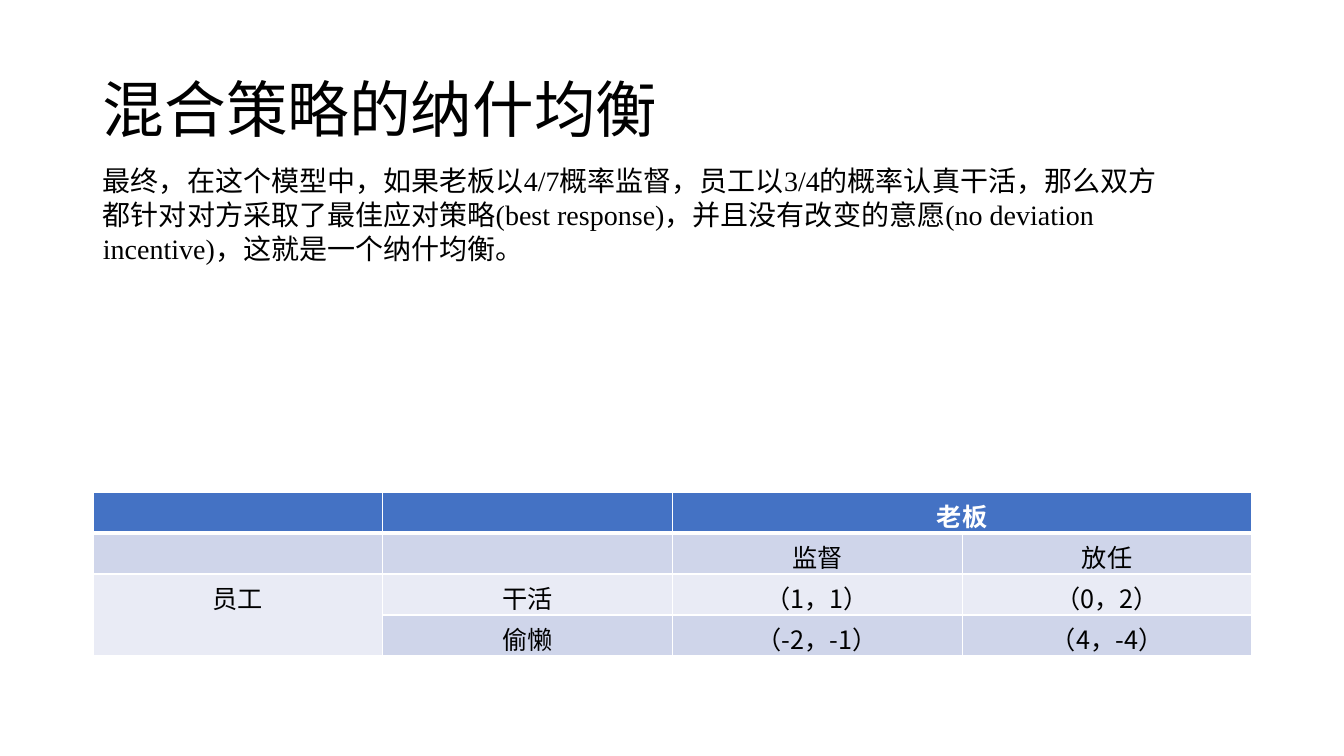
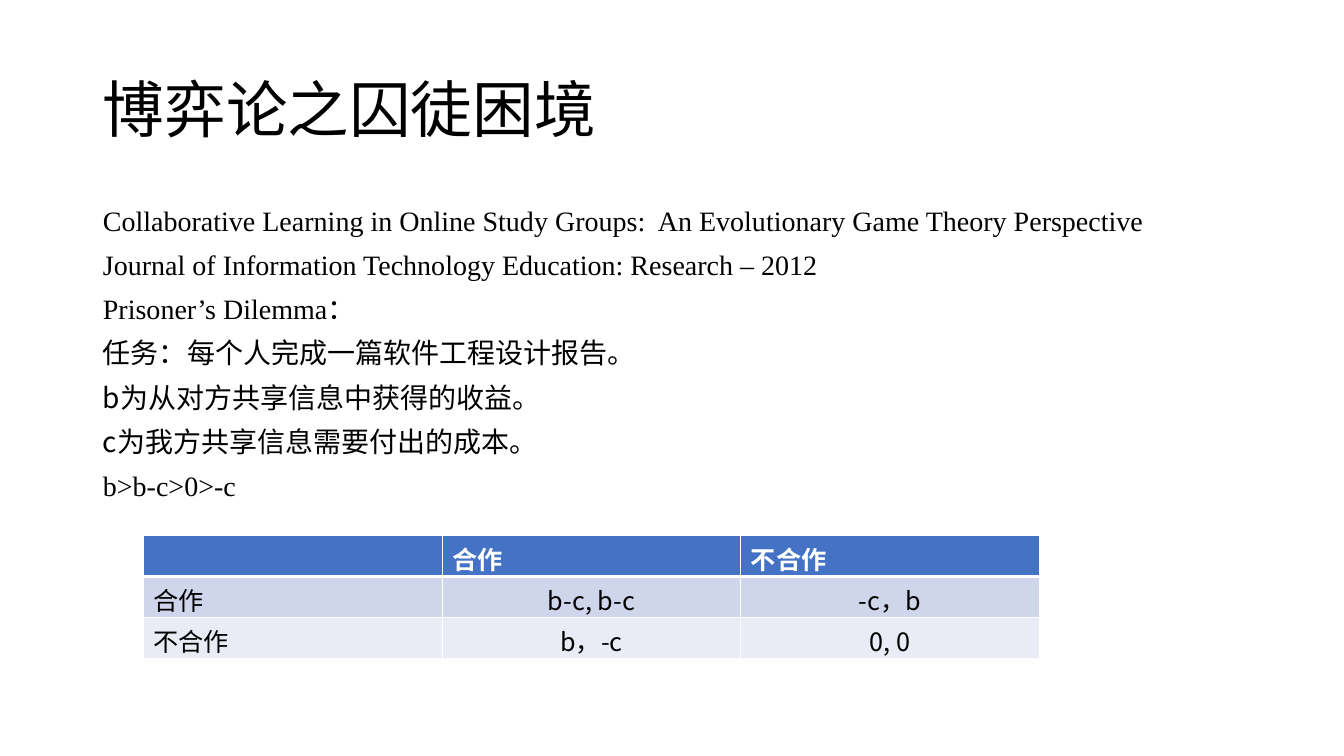
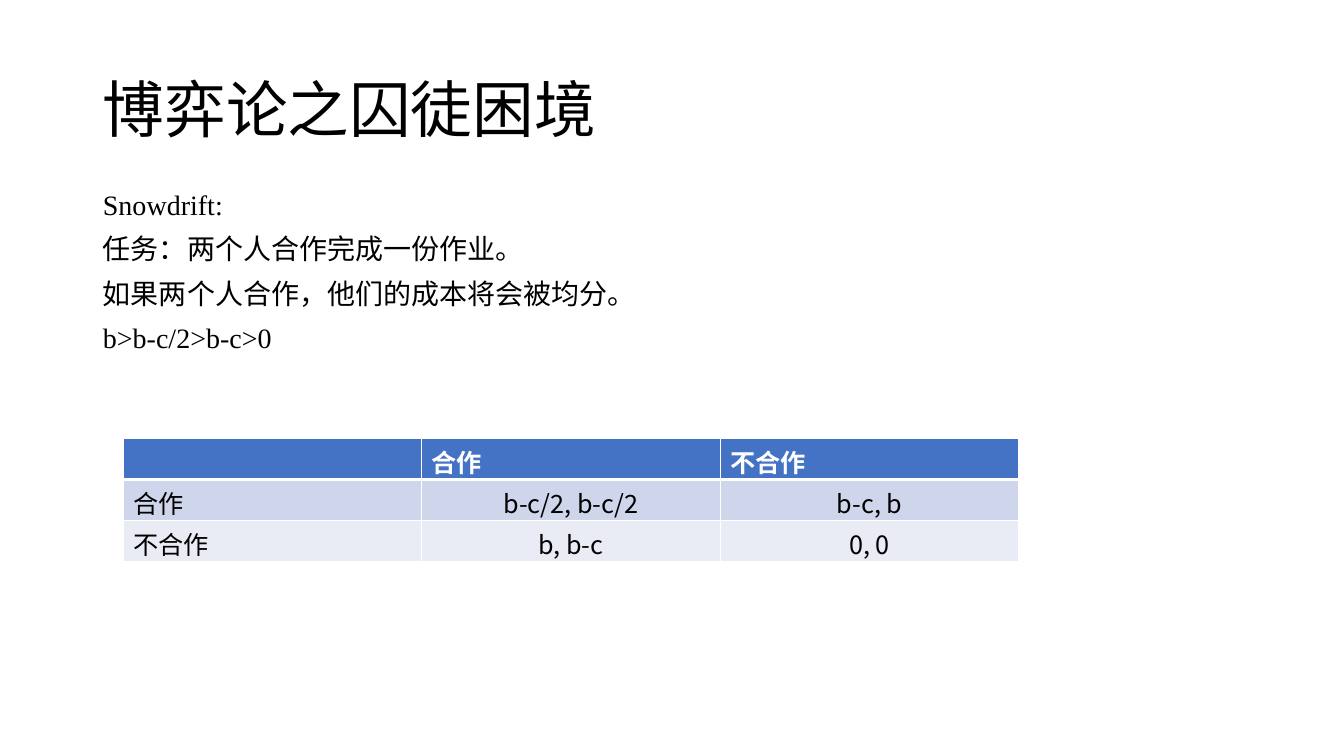
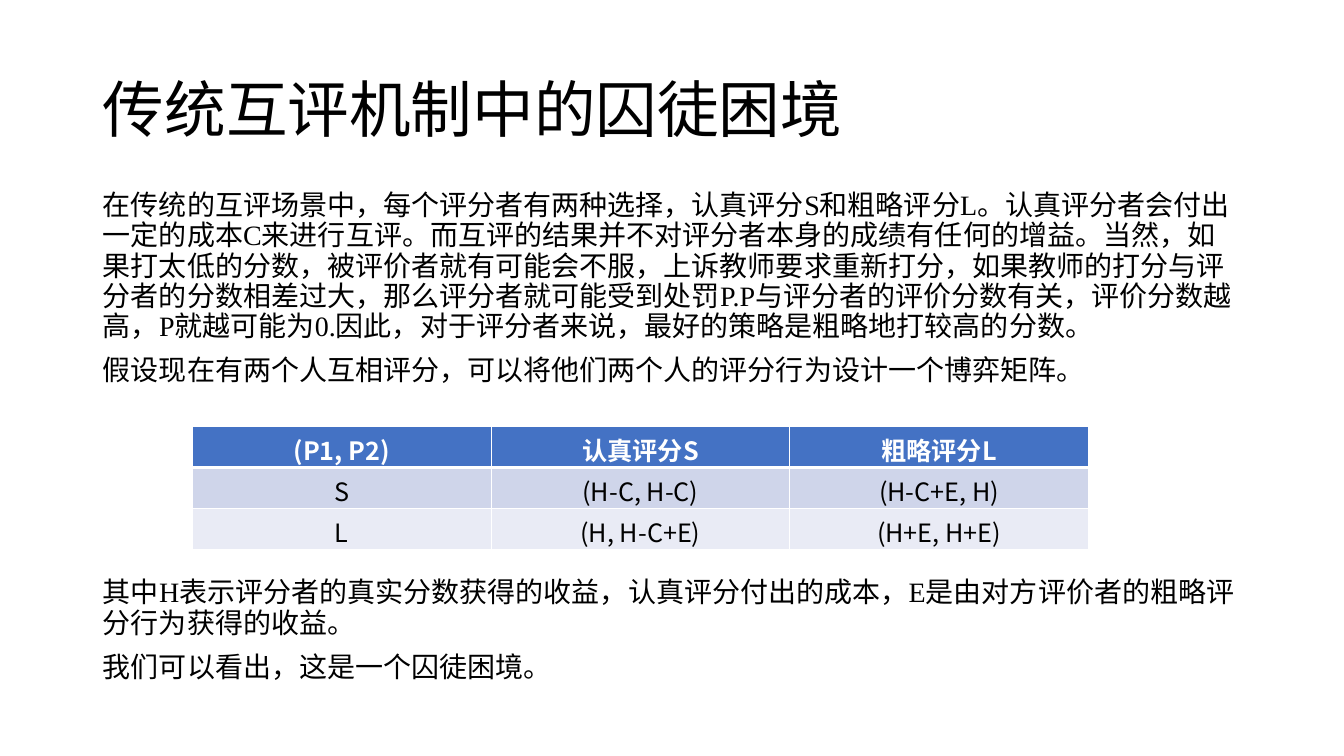
"""Four slides on mixed strategies and the prisoner's dilemma."""
import lxml.etree
import pptx
import pptx.dml.color
import pptx.enum.text
import pptx.oxml.ns
import pptx.util

PIXEL = 914400 / 100.8
SLIDE_SIZE = (1344, 756)
LEFT, WIDTH = 93, 1159
TITLE_AREA = (LEFT, 40, WIDTH, 146)
ROW_HEIGHT = 41

SANS = "Noto Sans CJK SC"
SERIF = "Times New Roman"
BLACK, WHITE = "000000", "FFFFFF"
HEADER_FILL = "4472C4"
BAND_FILLS = ("E9EBF5", "CFD5EA")
THIN, THICK = 1, 3

ALIGN_LEFT = pptx.enum.text.PP_ALIGN.LEFT
ALIGN_CENTER = pptx.enum.text.PP_ALIGN.CENTER


def px(length):
    """Turn pixels into EMU."""
    return pptx.util.Emu(round(length * PIXEL))


def color(value):
    """Turn a hex string into a colour."""
    return pptx.dml.color.RGBColor.from_string(value)


def format_runs(para, size, font=SANS, ink=BLACK, bold=False):
    """Set font, size and colour of every run in a paragraph."""
    for span in para.runs:
        span.font.size = pptx.util.Pt(size)
        span.font.name = font
        span.font.bold = bold
        span.font.color.rgb = color(ink)
        east_asian = lxml.etree.Element(pptx.oxml.ns.qn("a:ea"), typeface=SANS)
        span.font._element.find(pptx.oxml.ns.qn("a:latin")).addnext(east_asian)


def add_text(page, area, items, size=20, line_spacing=0.9, space_before=10):
    """Add a wrapped text box; items are (text, font) pairs, one a paragraph."""
    box = page.shapes.add_textbox(*map(px, area))
    frame = box.text_frame
    frame.word_wrap = True
    frame.text = "\n".join(text for text, _ in items)
    for para, (_, font) in zip(frame.paragraphs, items):
        para.line_spacing = line_spacing
        para.space_before = pptx.util.Pt(space_before)
        format_runs(para, size, font)
    return frame


def add_page(deck, title):
    """Add a blank slide with the shared title style."""
    page = deck.slides.add_slide(deck.slide_layouts[6])
    frame = add_text(page, TITLE_AREA, [(title, SANS)], size=44, space_before=0)
    frame.vertical_anchor = pptx.enum.text.MSO_ANCHOR.MIDDLE
    return page


def set_borders(cell, top, bottom):
    """Draw white cell borders with the given top and bottom widths."""
    properties = cell._tc.get_or_add_tcPr()
    sides = (("lnL", THIN), ("lnR", THIN), ("lnT", top), ("lnB", bottom))
    for index, (side, width) in enumerate(sides):
        line = lxml.etree.Element(pptx.oxml.ns.qn("a:" + side),
                                  w=str(pptx.util.Pt(width)))
        fill = lxml.etree.SubElement(line, pptx.oxml.ns.qn("a:solidFill"))
        lxml.etree.SubElement(fill, pptx.oxml.ns.qn("a:srgbClr"), val=WHITE)
        properties.insert(index, line)


def add_matrix(page, left, top, width, rows, label_align=ALIGN_CENTER, merges=()):
    """Add a banded payoff table; label_align sets the first row and column."""
    table = page.shapes.add_table(
        len(rows), len(rows[0]), px(left), px(top), px(width),
        px(ROW_HEIGHT * len(rows))).table
    table.horz_banding = False
    for row, texts in enumerate(rows):
        header = row == 0
        for column, text in enumerate(texts):
            cell = table.cell(row, column)
            cell.fill.solid()
            cell.fill.fore_color.rgb = color(
                HEADER_FILL if header else BAND_FILLS[row % 2])
            set_borders(cell, THICK if row == 1 else THIN,
                        THICK if header else THIN)
            cell.text = text
            para = cell.text_frame.paragraphs[0]
            is_label = header or column == 0
            para.alignment = label_align if is_label else ALIGN_CENTER
            format_runs(para, 18, ink=WHITE if header else BLACK, bold=header)
    for first, last in merges:
        table.cell(*first).merge(table.cell(*last))


def add_mixed_strategy(deck):
    """Nash equilibrium of the boss and employee game."""
    page = add_page(deck, "混合策略的纳什均衡")
    add_matrix(page, LEFT, 492, WIDTH, [
        ["", "", "老板", ""],
        ["", "", "监督", "放任"],
        ["员工", "干活", "（1，1）", "（0，2）"],
        ["", "偷懒", "（-2，-1）", "（4，-4）"],
    ], merges=[((0, 2), (0, 3)), ((2, 0), (3, 0))])
    add_text(page, (LEFT, 159, 1087, 112), [
        ("最终，在这个模型中，如果老板以4/7概率监督，员工以3/4的概率认真干活，"
         "那么双方都针对对方采取了最佳应对策略(best response)，并且没有改变的意愿"
         "(no deviation incentive)，这就是一个纳什均衡。", SERIF),
    ], line_spacing=1.0, space_before=0)


def add_prisoners_dilemma(deck):
    """Each member writes a report alone."""
    page = add_page(deck, "博弈论之囚徒困境")
    add_text(page, (LEFT, 202, WIDTH, 480), [
        ("Collaborative Learning in Online Study Groups:  "
         "An Evolutionary Game Theory Perspective", SERIF),
        ("Journal of Information Technology Education: Research – 2012", SERIF),
        ("Prisoner’s Dilemma：", SERIF),
        ("任务：每个人完成一篇软件工程设计报告。", SANS),
        ("b为从对方共享信息中获得的收益。", SANS),
        ("c为我方共享信息需要付出的成本。", SANS),
        ("b>b-c>0>-c", SERIF),
    ])
    add_matrix(page, 143.5, 535.5, 896, [
        ["", "合作", "不合作"],
        ["合作", "b-c, b-c", "-c，b"],
        ["不合作", "b，-c", "0, 0"],
    ], ALIGN_LEFT)


def add_snowdrift(deck):
    """Two members share one assignment."""
    page = add_page(deck, "博弈论之囚徒困境")
    add_text(page, (LEFT, 186.5, WIDTH, 480), [
        ("Snowdrift:", SERIF),
        ("任务：两个人合作完成一份作业。", SANS),
        ("如果两个人合作，他们的成本将会被均分。", SANS),
        ("b>b-c/2>b-c>0", SERIF),
    ])
    add_matrix(page, 123, 438.5, 896, [
        ["", "合作", "不合作"],
        ["合作", "b-c/2, b-c/2", "b-c, b"],
        ["不合作", "b, b-c", "0, 0"],
    ], ALIGN_LEFT)


def add_peer_review(deck):
    """Dilemma of careful and rough peer grading."""
    page = add_page(deck, "传统互评机制中的囚徒困境")
    frame = add_text(page, (LEFT, 186.5, WIDTH, 543), [
        ("在传统的互评场景中，每个评分者有两种选择，认真评分S和粗略评分L。"
         "认真评分者会付出一定的成本C来进行互评。而互评的结果并不对评分者本身的成绩"
         "有任何的增益。当然，如果打太低的分数，被评价者就有可能会不服，上诉教师要求"
         "重新打分，如果教师的打分与评分者的分数相差过大，那么评分者就可能受到处罚"
         "P.P与评分者的评价分数有关，评价分数越高，P就越可能为0."
         "因此，对于评分者来说，最好的策略是粗略地打较高的分数。", SERIF),
        ("假设现在有两个人互相评分，可以将他们两个人的评分行为设计一个博弈矩阵。", SERIF),
        ("其中H表示评分者的真实分数获得的收益，认真评分付出的成本，"
         "E是由对方评价者的粗略评分行为获得的收益。", SERIF),
        ("我们可以看出，这是一个囚徒困境。", SERIF),
    ])
    frame.paragraphs[2].space_before = pptx.util.Pt(137)
    add_matrix(page, 192.5, 426.5, 896, [
        ["(P1, P2)", "认真评分S", "粗略评分L"],
        ["S", "(H-C, H-C)", "(H-C+E, H)"],
        ["L", "(H, H-C+E)", "(H+E, H+E)"],
    ])


def main():
    """Build and save the deck."""
    deck = pptx.Presentation()
    deck.slide_width, deck.slide_height = map(px, SLIDE_SIZE)
    add_mixed_strategy(deck)
    add_prisoners_dilemma(deck)
    add_snowdrift(deck)
    add_peer_review(deck)
    deck.save("out.pptx")


main()
